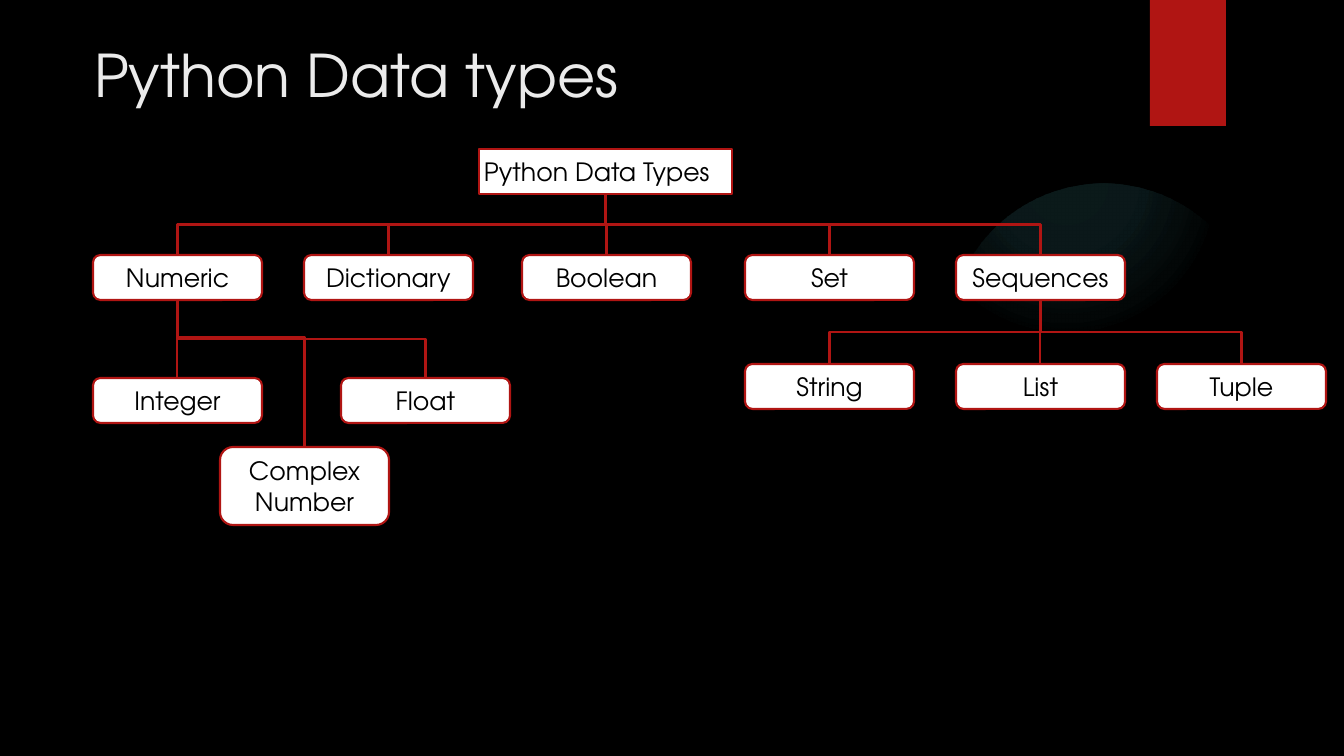
from lxml import etree
from pptx import Presentation
from pptx.dml.color import RGBColor
from pptx.enum.shapes import MSO_CONNECTOR, MSO_SHAPE
from pptx.enum.text import MSO_ANCHOR, MSO_AUTO_SIZE, PP_ALIGN
from pptx.oxml import parse_xml
from pptx.oxml.ns import nsdecls, qn
from pptx.util import Pt

PX = 914400 / 100.8
FONT = "TeX Gyre Adventor"
BLACK = RGBColor(0x00, 0x00, 0x00)
WHITE = RGBColor(0xFF, 0xFF, 0xFF)
PALE = RGBColor(0xEB, 0xEB, 0xEB)
RED = RGBColor(0xB0, 0x15, 0x13)
TEAL = RGBColor(0x50, 0xB9, 0xC1)

NODE_W, NODE_H = 169, 45
ROOT = ("Python Data Types", 479, 149)
# Each branch: text, left, top, and its children as (text, left, top, height, bend)
BRANCHES = [
    ("Numeric", 93, 255, [
        ("Integer", 93, 378, NODE_H, 50),
        ("Complex Number", 220, 447, 78, 25.5),
        ("Float", 341, 378, NODE_H, 50),
    ]),
    ("Dictionary", 304, 255, []),
    ("Boolean", 522, 255, []),
    ("Set", 745, 255, []),
    ("Sequences", 956, 255, [
        ("String", 745, 364, NODE_H, 50),
        ("List", 956, 364, NODE_H, 50),
        ("Tuple", 1157, 364, NODE_H, 50),
    ]),
]


def px(n):
    return round(n * PX)


def write(shape, text, size=18, color=BLACK, align=PP_ALIGN.CENTER,
          anchor=MSO_ANCHOR.MIDDLE):
    tf = shape.text_frame
    tf.word_wrap = True
    tf.auto_size = MSO_AUTO_SIZE.NONE
    tf.vertical_anchor = anchor
    tf.margin_left = tf.margin_right = tf.margin_top = tf.margin_bottom = px(5)
    p = tf.paragraphs[0]
    p.alignment = align
    r = p.add_run()
    r.text = text
    r.font.size = Pt(size)
    r.font.name = FONT
    r.font.color.rgb = color


def add_box(s, kind, x, y, w, h, fill=None, line=None):
    sp = s.shapes.add_shape(kind, px(x), px(y), px(w), px(h))
    sp.shadow.inherit = False
    if fill is None:
        sp.fill.background()
    else:
        sp.fill.solid()
        sp.fill.fore_color.rgb = fill
    if line is None:
        sp.line.fill.background()
    else:
        sp.line.color.rgb = line
        sp.line.width = Pt(1.5)
    return sp


def add_glow(s, x, y, size):
    sp = add_box(s, MSO_SHAPE.OVAL, x, y, size, size)
    stops = "".join(
        f'<a:gs pos="{pos * 1000}"><a:srgbClr val="{TEAL}">'
        f'<a:alpha val="{alpha * 1000}"/></a:srgbClr></a:gs>'
        for pos, alpha in [(0, 7), (36, 6), (69, 0)])
    gradient = parse_xml(
        f'<a:gradFill {nsdecls("a")}><a:gsLst>{stops}</a:gsLst>'
        '<a:path path="circle"><a:fillToRect l="38000" t="-20000" '
        'r="62000" b="120000"/></a:path></a:gradFill>')
    spPr = sp._element.spPr
    spPr.replace(spPr.find(qn("a:noFill")), gradient)


def add_node(s, text, x, y, w=NODE_W, h=NODE_H, align=PP_ALIGN.CENTER):
    sp = add_box(s, MSO_SHAPE.ROUNDED_RECTANGLE, x, y, w, h, WHITE, RED)
    write(sp, text, align=align)
    return sp


def join(s, parent, child, bend=50):
    """Elbow line from the parent's bottom to the child's top, bent at bend %."""
    c = s.shapes.add_connector(MSO_CONNECTOR.ELBOW, 0, 0, 0, 0)
    c.begin_connect(parent, 2)
    c.end_connect(child, 0)
    x1, y1, x2, y2 = c.begin_x, c.begin_y, c.end_x, c.end_y
    # A quarter turn about the centre makes the elbow leave downwards
    length, spread = y2 - y1, abs(x2 - x1)
    c.left, c.top = (x1 + x2 - length) // 2, (y1 + y2 - spread) // 2
    c.width, c.height = length, spread
    rightward = x2 >= x1
    spPr = c._element.spPr
    spPr.xfrm.rot = 270 if rightward else 90
    spPr.xfrm.flipH, spPr.xfrm.flipV = rightward, False
    if bend != 50:
        guides = spPr.find(qn("a:prstGeom")).get_or_add_avLst()
        etree.SubElement(guides, qn("a:gd"), name="adj1",
                         fmla=f"val {round(bend * 1000)}")
    c.line.color.rgb = RED
    c.line.width = Pt(1.5)
    etree.SubElement(spPr, qn("a:effectLst"))


def add_backdrop(s):
    s.background.fill.solid()
    s.background.fill.fore_color.rgb = BLACK
    for _ in range(2):
        add_glow(s, 949, 184, 310)
    add_box(s, MSO_SHAPE.RECTANGLE, 1150, 0, 76, 126, RED)


def add_title(s, text, x, y, w, h):
    sp = s.shapes.title
    sp.left, sp.top, sp.width, sp.height = px(x), px(y), px(w), px(h)
    write(sp, text, size=42, color=PALE, align=PP_ALIGN.LEFT,
          anchor=MSO_ANCHOR.TOP)


def add_tree(s):
    links = []
    root = add_node(s, *ROOT, w=253, align=PP_ALIGN.LEFT)
    root.adjustments[0] = 0
    for text, x, y, children in BRANCHES:
        branch = add_node(s, text, x, y)
        links.append((root, branch, 50))
        for name, left, top, height, bend in children:
            leaf = add_node(s, name, left, top, h=height)
            links.append((branch, leaf, bend))
    for parent, child, bend in links:
        join(s, parent, child, bend)


def main():
    prs = Presentation()
    prs.slide_width, prs.slide_height = px(1344), px(756)
    s = prs.slides.add_slide(prs.slide_layouts[5])
    add_backdrop(s)
    add_title(s, "Python Data types", 89, 34, 1036, 154)
    add_tree(s)
    prs.save("out.pptx")


if __name__ == "__main__":
    main()
